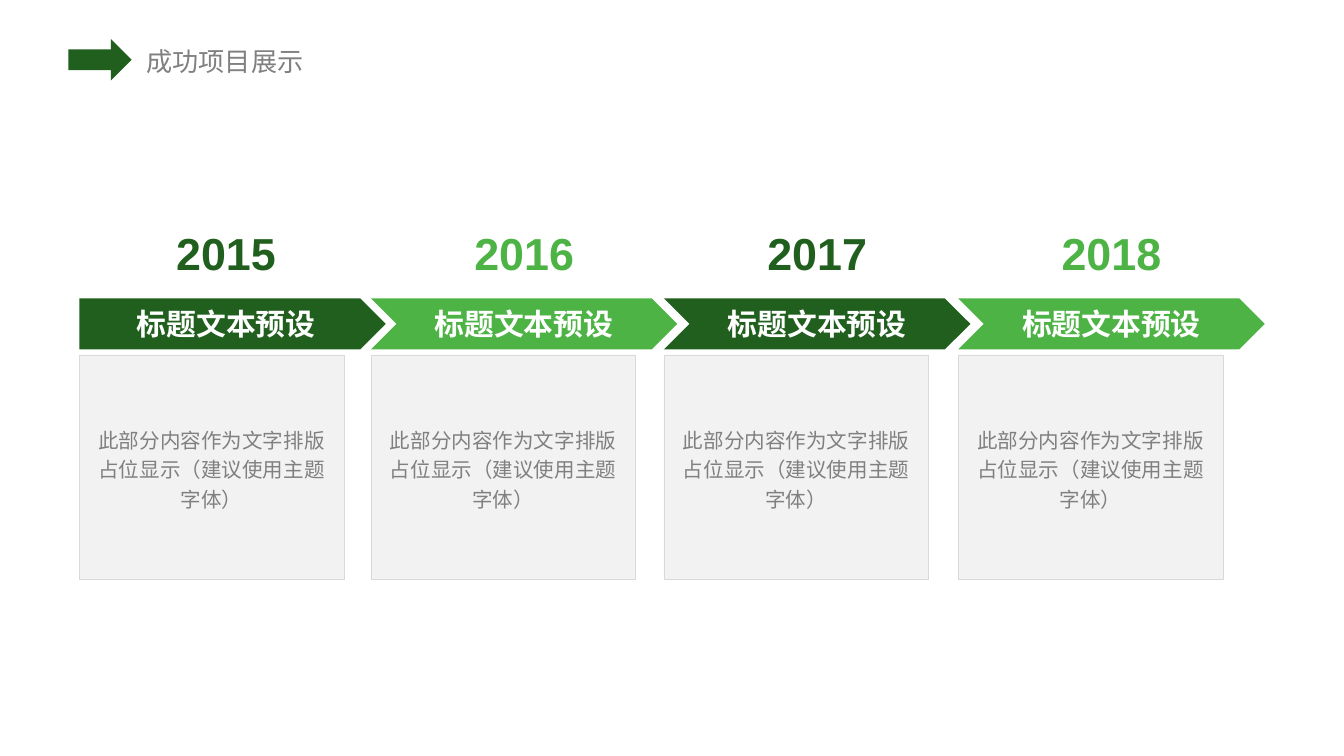
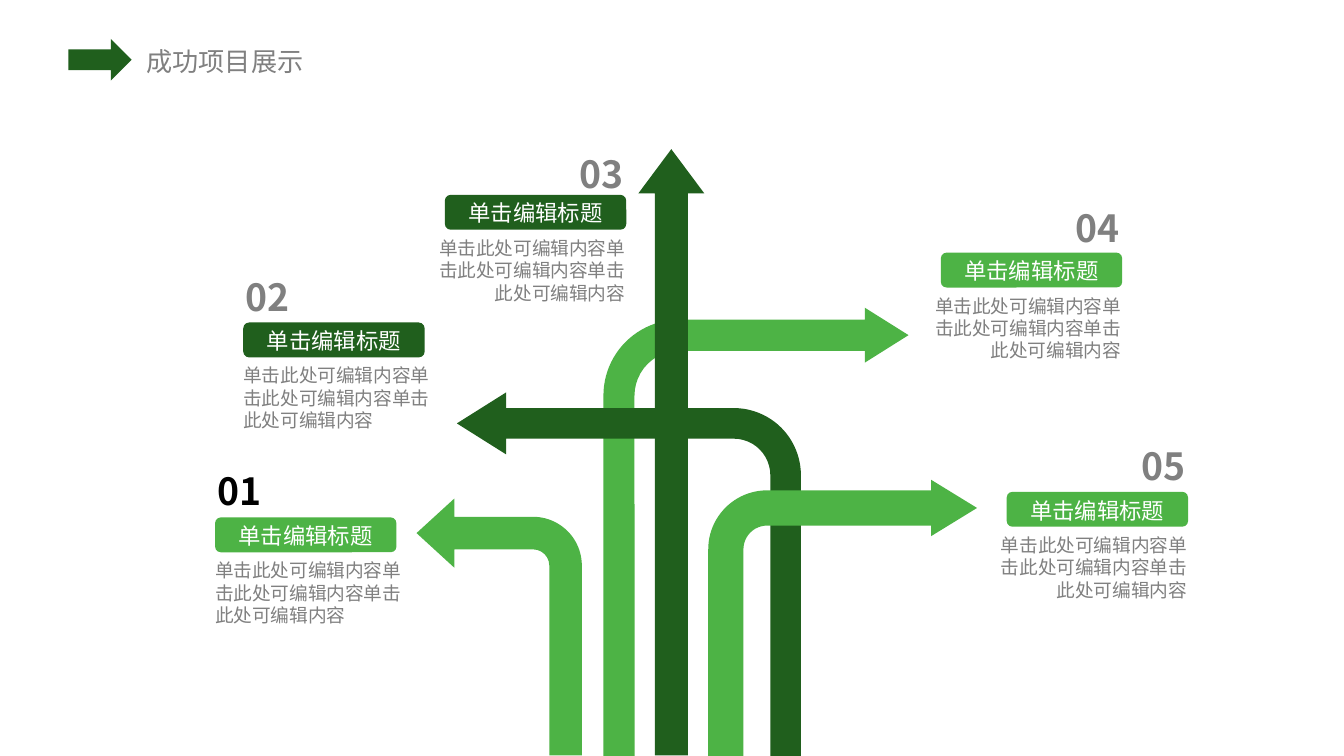
"""Build two slides of successful projects: a timeline and a tree of arrows."""
from lxml import etree
from pptx import Presentation
from pptx.dml.color import RGBColor
from pptx.enum import shapes, text
from pptx.oxml import ns
from pptx.util import Inches, Pt

HUES = {"dark": "205F1D", "light": "4DB345", "gray": "808080", "pale": "F2F2F2",
        "edge": "D9D9D9", "white": "FFFFFF", "black": "000000"}
SANS, CJK = "Arial", "Noto Sans CJK SC"
KIND, ALIGN, ANCHOR = shapes.MSO_SHAPE, text.PP_ALIGN, text.MSO_ANCHOR
FIT = text.MSO_AUTO_SIZE

TITLE = "成功项目展示"
HEAD = "标题文本预设"
CARD = "此部分内容作为文字排版占位显示（建议使用主题字体）"
STEPS = [("2015", 0.59), ("2016", 2.76), ("2017", 4.94), ("2018", 7.13)]
LABEL = "单击编辑标题"
BODY = "单击此处可编辑内容" * 3

# kind, box, hue, flipped, adjustments
ARROWS = [
    (KIND.BENT_ARROW, (4.49, 2.29, 2.27, 3.34), "light", False, (0.102, 0.09, 0.143, 0.249)),
    (KIND.BENT_ARROW, (3.4, 2.92, 2.56, 2.71), "dark", True, (0.089, 0.09, 0.143, 0.195)),
    (KIND.BENT_ARROW, (3.1, 3.71, 1.23, 1.91), "light", True, (0.197, 0.209, 0.228, 0.295)),
    (KIND.BENT_ARROW, (5.27, 3.57, 2, 2.06), "light", False, (0.131, 0.105, 0.171, 0.219)),
    (KIND.UP_ARROW, (4.75, 1.11, 0.49, 4.51), "dark", False, (0.5, 0.671)),
]

# number, number hue, number top, tag left, tag top, tag hue, right aligned
TAGS = [
    ("01", "black", 3.48, 1.6, 3.85, "light", False),
    ("02", "gray", 2.03, 1.81, 2.4, "dark", False),
    ("05", "gray", 3.29, 7.49, 3.66, "light", True),
    ("04", "gray", 1.52, 7, 1.88, "light", True),
    ("03", "gray", 1.12, 3.31, 1.45, "dark", True),
]


def rgb(hue):
    return RGBColor.from_string(HUES[hue])


def write(shape, words, size, font, hue, bold=False, align=ALIGN.LEFT,
          anchor=ANCHOR.TOP, wrap=True, inset=None, space=None):
    frame = shape.text_frame
    frame.word_wrap = wrap
    frame.vertical_anchor = anchor
    if inset is not None:
        frame.margin_left = frame.margin_right = Inches(inset[0])
        frame.margin_top = frame.margin_bottom = Inches(inset[1])
    para = frame.paragraphs[0]
    para.alignment = align
    if space:
        para.line_spacing = space
    run = para.add_run()
    run.text = words
    run.font.size, run.font.bold, run.font.name = Pt(size), bold, font
    run.font.color.rgb = rgb(hue)
    if font == CJK:
        face = etree.SubElement(run.font._element, ns.qn("a:ea"))
        face.set("typeface", font)


def draw(home, kind, box, fill=None, line=None):
    shape = home.add_shape(kind, *map(Inches, box))
    shape.shadow.inherit = False
    if fill:
        shape.fill.solid()
        shape.fill.fore_color.rgb = rgb(fill)
    else:
        shape.fill.background()
    if line:
        shape.line.color.rgb = rgb(line)
        shape.line.width = Pt(0.25)
    else:
        shape.line.fill.background()
    return shape


def note(home, box, words, size, hue, **style):
    shape = home.add_textbox(*map(Inches, box))
    write(shape, words, size, CJK, hue, inset=(0, 0), **style)
    shape.text_frame.auto_size = FIT.SHAPE_TO_FIT_TEXT


def start(deck):
    slide = deck.slides.add_slide(deck.slide_layouts[5])
    head = slide.shapes.title
    head.left, head.top, head.width, head.height = map(Inches, (0.98, 0.29, 1.39, 0.34))
    write(head, TITLE, 14, CJK, "gray", wrap=False, inset=(0.11, 0.05))
    head.text_frame.auto_size = FIT.SHAPE_TO_FIT_TEXT
    draw(slide.shapes, KIND.RIGHT_ARROW, (0.51, 0.29, 0.47, 0.31), "dark")
    return slide.shapes


def timeline(deck):
    home = start(deck)
    mid = dict(align=ALIGN.CENTER, anchor=ANCHOR.MIDDLE)
    for i, (year, left) in enumerate(STEPS):
        hue = ("dark", "light")[i % 2]
        kind = KIND.CHEVRON if i else KIND.PENTAGON
        wide = 1.42 if i else 1
        group = home.add_group_shape().shapes
        card = draw(group, KIND.RECTANGLE, (left, 2.64, 1.97, 1.67), "pale", "edge")
        write(card, CARD, 11, SANS, "gray", space=1.2, **mid)
        bar = draw(group, kind, (left, 2.22, 2.28, 0.38), hue)
        write(bar, HEAD, 16, SANS, "white", bold=True, wrap=False, **mid)
        date = draw(group, kind, (left + (2.28 - wide) / 2, 1.69, wide, 0.38))
        write(date, year, 24, SANS, hue, bold=True, wrap=False, **mid)


def tree(deck):
    home = start(deck)
    for kind, box, hue, flip, adjust in ARROWS:
        arrow = draw(home, kind, box, hue)
        for i, value in enumerate(adjust):
            arrow.adjustments[i] = value
        if flip:
            arrow.element.spPr.find(ns.qn("a:xfrm")).set("flipH", "1")
    for num, tint, high, left, top, hue, right in TAGS:
        align = ALIGN.RIGHT if right else ALIGN.LEFT
        group = home.add_group_shape().shapes
        draw(group, KIND.ROUNDED_RECTANGLE, (left, top, 1.35, 0.26), hue)
        note(group, (left + 0.16, top + 0.03, 1.03, 0.21), LABEL, 12, "white",
             align=ALIGN.CENTER, anchor=ANCHOR.MIDDLE, wrap=False)
        note(home, (left - 0.17 * right, top + 0.31, 1.51, 0.52), BODY, 10, "gray", align=align)
        note(home, (left + (0.98 if right else 0.02), high, 0.35, 0.34), num, 20, tint,
             bold=True, align=align, anchor=ANCHOR.BOTTOM, wrap=False)


def main():
    deck = Presentation()
    deck.slide_width = Inches(10)
    deck.slide_height = deck.slide_width * 9 // 16
    timeline(deck)
    tree(deck)
    deck.save("out.pptx")


if __name__ == "__main__":
    main()
